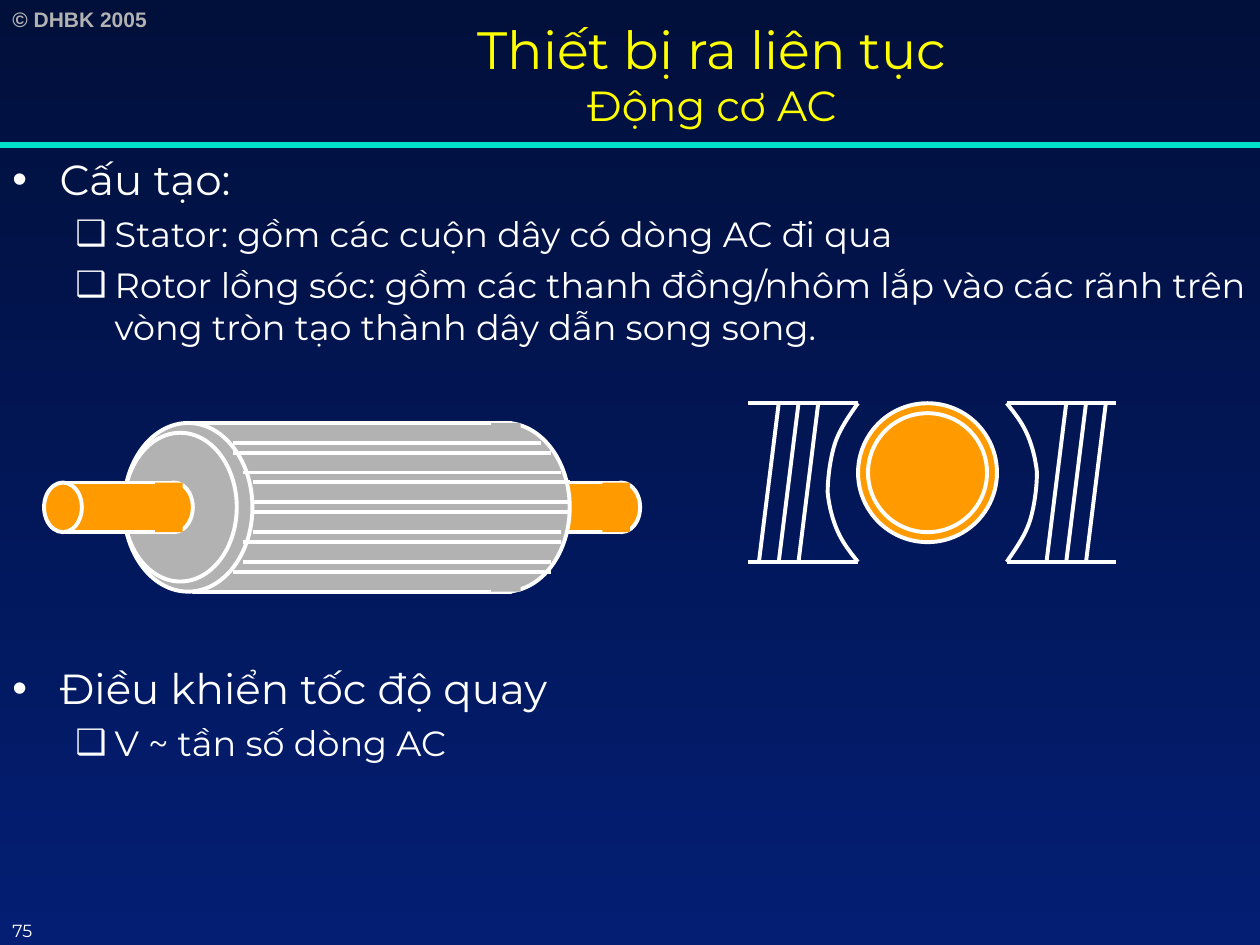
from dataclasses import dataclass
from lxml.etree import SubElement
from pptx import Presentation
from pptx.dml.color import RGBColor
from pptx.enum.shapes import MSO_CONNECTOR as LINK, MSO_SHAPE as SHAPE
from pptx.enum.text import MSO_ANCHOR as ANCHOR, PP_ALIGN as ALIGN
from pptx.oxml.ns import qn
from pptx.util import Pt

WHITE, GREY, ORANGE, YELLOW, TEAL = "FFFFFF", "B2B2B2", "FF9B00", "FFFF00", "00DFCA"


def colour(value):
    return RGBColor.from_string(value)


@dataclass
class Painter:
    page: object
    font: str = "Montserrat"
    ink: str = WHITE
    stroke: float = 2.25

    def background(self, *stops):
        fill = self.page.background.fill
        fill.gradient()
        fill.gradient_angle = 270
        for stop, value in zip(fill.gradient_stops, stops):
            stop.color.rgb = colour(value)

    def text_box(self, left, top, width, height, anchor=ANCHOR.TOP):
        box = self.page.shapes.add_textbox(Pt(left), Pt(top), Pt(width), Pt(height))
        box.text_frame.word_wrap = True
        box.text_frame.vertical_anchor = anchor
        return box.text_frame

    def style(self, paragraph, size, ink=None, font=None, bold=False):
        paragraph.font.name = font or self.font
        paragraph.font.size = Pt(size)
        paragraph.font.bold = bold
        paragraph.font.color.rgb = colour(ink or self.ink)

    def label(self, place, text, size, **look):
        paragraph = self.text_box(*place).paragraphs[0]
        paragraph.text = text
        self.style(paragraph, size, **look)

    def title(self, place, lines):
        paragraph = self.text_box(*place, anchor=ANCHOR.MIDDLE).paragraphs[0]
        paragraph.alignment = ALIGN.CENTER
        for number, (text, size) in enumerate(lines):
            if number:
                paragraph.add_line_break()
            span = paragraph.add_run()
            span.text = text
            span.font.size = Pt(size)
        self.style(paragraph, lines[0][1], YELLOW)

    def outline(self, place, heading, items):
        frame = self.text_box(*place)
        self.bullet(frame.paragraphs[0], heading, "•", 24, 27, -27)
        for item in items:
            paragraph = frame.add_paragraph()
            paragraph.level = 1
            self.bullet(paragraph, item, "❑", 20, 58.5, -22.5)
            paragraph.space_before = Pt(5)

    def bullet(self, paragraph, text, mark, size, margin, indent):
        paragraph.text = text
        props = paragraph._p.get_or_add_pPr()
        props.set("marL", str(Pt(margin)))
        props.set("indent", str(Pt(indent)))
        tint = SubElement(props, qn("a:buClr"))
        SubElement(tint, qn("a:srgbClr"), val=self.ink)
        SubElement(props, qn("a:buFont"), typeface="Arial")
        SubElement(props, qn("a:buChar"), char=mark)
        self.style(paragraph, size)

    def solid(self, kind, left, top, width, height, fill, lined=True):
        shape = self.page.shapes.add_shape(kind, Pt(left), Pt(top), Pt(width), Pt(height))
        shape.fill.solid()
        shape.fill.fore_color.rgb = colour(fill)
        self.edge(shape, lined)

    def edge(self, shape, lined=True):
        shape.shadow.inherit = False
        if lined:
            shape.line.color.rgb = colour(self.ink)
            shape.line.width = Pt(self.stroke)
        else:
            shape.line.fill.background()

    def line(self, start, end, ink=None, width=None):
        link = self.page.shapes.add_connector(LINK.STRAIGHT, *map(Pt, (*start, *end)))
        link.line.color.rgb = colour(ink or self.ink)
        link.line.width = Pt(width or self.stroke)
        SubElement(link._element.spPr, qn("a:effectLst"))

    def curve(self, knots, steps=10):
        points = []
        for first in range(0, len(knots) - 1, 3):
            a, b, c, d = knots[first:first + 4]
            for step in range(1, steps + 1):
                t = step / steps
                u = 1 - t
                points.append(tuple(
                    Pt(u**3 * p + 3 * u * u * t * q + 3 * u * t * t * r + t**3 * s)
                    for p, q, r, s in zip(a, b, c, d)))
        builder = self.page.shapes.build_freeform(*map(Pt, knots[0]))
        builder.add_line_segments(points, close=False)
        shape = builder.convert_to_shape()
        shape.fill.background()
        self.edge(shape)

    def shaft(self, left):
        top, height = 275.75, 28.35
        self.solid(SHAPE.OVAL, left + 63.4, top, 21.6, height, ORANGE)
        self.solid(SHAPE.RECTANGLE, left + 10.8, top, 63.4, height, ORANGE)
        self.solid(SHAPE.OVAL, left, top, 21.6, height, ORANGE)
        self.solid(SHAPE.RECTANGLE, left + 63.4, top, 15.8, height, ORANGE, lined=False)

    def rotor(self):
        top, height, unit = 241.7, 96.4, 5.67
        self.solid(SHAPE.OVAL, 252, top, 73.6, height, GREY)
        self.solid(SHAPE.RECTANGLE, 110.5, top, 181.4, height, GREY)
        self.solid(SHAPE.OVAL, 70.7, top, 73.6, height, GREY)
        self.solid(SHAPE.RECTANGLE, 280.6, top, 17, height, GREY, lined=False)
        rows = (0, 1, 3, 4, 6, 7, 9, 10, 12, 13)
        starts = (0, 0, 1, 2, 2, 2, 2, 1, 1, 0)
        ends = (0, 1, 2, 3, 3, 3, 2, 2, 1, 1)
        for row, start, end in zip(rows, starts, ends):
            y = 253 + row * unit
            self.line((133.2 + start * unit, y), (309 + end * unit, y))
        self.solid(SHAPE.OVAL, 70.7, 247.3, 64.6, 85, GREY)

    def pole(self, turned=False):
        top, bottom = 230.4, 321.1

        def spot(x, y):
            return (1065.6 - x, top + bottom - y) if turned else (x, y)

        for y in (top, bottom):
            self.line(spot(427.7, y), spot(490.3, y))
        face = [(490.3, top), (485.3, 237.6), (480.2, 244.8), (477.4, 252.7),
                (474.5, 261.4), (473, 272.9), (473, 281.5), (473.8, 289.4),
                (475.9, 297.4), (478.8, 303.8), (481.7, 310.3), (486, 315.7),
                (490.3, bottom)]
        self.curve([spot(*knot) for knot in face])
        for winding in range(3):
            x = 445 + winding * 11.3
            self.line(spot(x, top), spot(x - 11.3, bottom))


def main():
    deck = Presentation()
    deck.slide_width, deck.slide_height = Pt(720), Pt(540)
    painter = Painter(deck.slides.add_slide(deck.slide_layouts[6]))
    painter.background("010F3B", "031E73")
    painter.label((0, 0, 104.4, 21.6), "© DHBK 2005", 12, ink=GREY, font="Arial", bold=True)
    painter.line((0, 82.8), (720, 82.8), TEAL, 3)
    painter.title((93.6, 0, 626.4, 84.2), [("Thiết bị ra liên tục", 30), ("Động cơ AC", 24)])
    painter.outline((0, 84.2, 720, 130), "Cấu tạo:", [
        "Stator: gồm các cuộn dây có dòng AC đi qua",
        "Rotor lồng sóc: gồm các thanh đồng/nhôm lắp vào các rãnh trên "
        "vòng tròn tạo thành dây dẫn song song."])
    painter.outline((0, 375.1, 720, 70), "Điều khiển tốc độ quay", ["V ~ tần số dòng AC"])
    painter.shaft(280.8)
    painter.rotor()
    painter.shaft(25.2)
    painter.solid(SHAPE.OVAL, 490.3, 230.4, 79.4, 79.4, ORANGE)
    painter.solid(SHAPE.OVAL, 496, 236.1, 68, 68, ORANGE)
    painter.pole()
    painter.pole(turned=True)
    painter.label((0, 522, 48.2, 18), "75", 10)
    deck.save("out.pptx")


if __name__ == "__main__":
    main()
